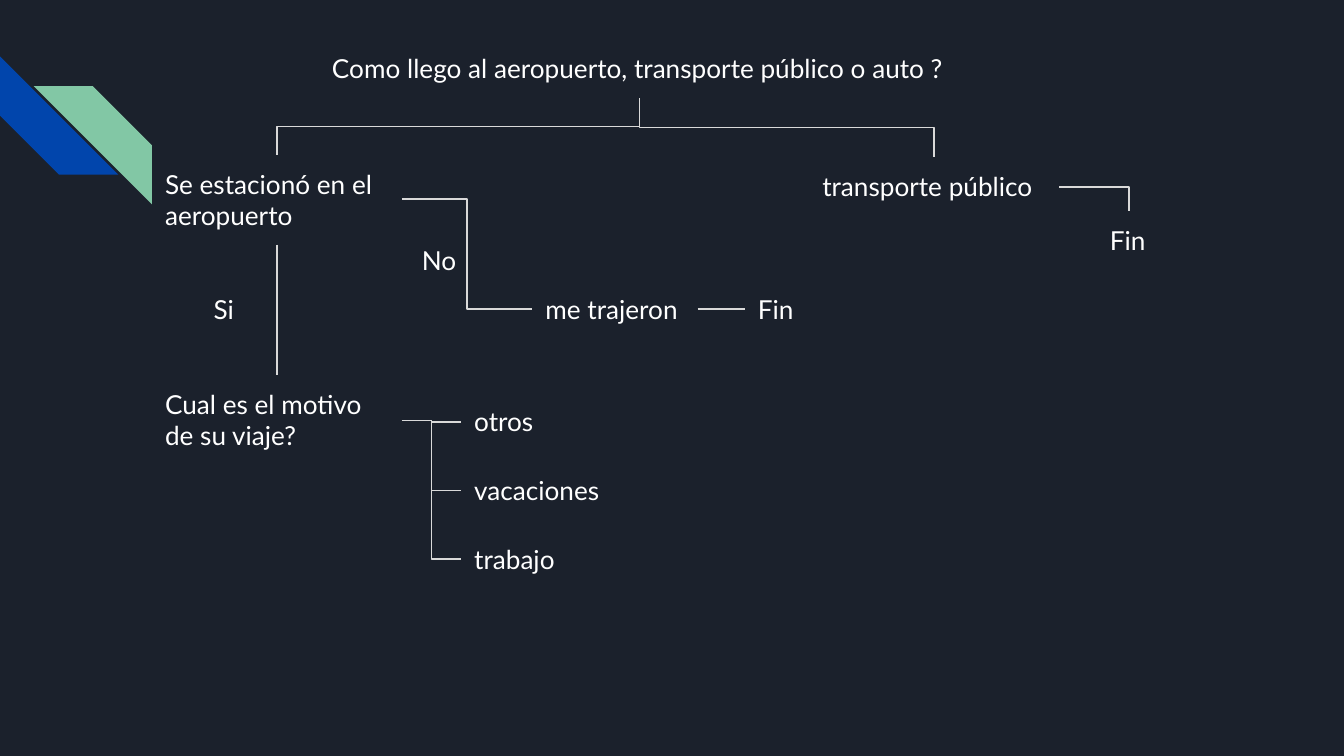
from lxml import etree
from pptx import Presentation
from pptx.dml.color import RGBColor
from pptx.enum.shapes import MSO_CONNECTOR, MSO_SHAPE
from pptx.enum.text import MSO_ANCHOR, MSO_AUTO_SIZE, PP_ALIGN
from pptx.oxml.ns import qn
from pptx.util import Inches, Pt

ELBOW = MSO_CONNECTOR.ELBOW
STRAIGHT = MSO_CONNECTOR.STRAIGHT
STRIPE = MSO_SHAPE.DIAGONAL_STRIPE
TOP = MSO_ANCHOR.TOP
FIXED = MSO_AUTO_SIZE.NONE
LEFT = PP_ALIGN.LEFT


def color(code):
    return RGBColor.from_string(code)


def link(kind, x1, y1, x2, y2):
    line = slide.shapes.add_connector(
        kind, Inches(x1), Inches(y1), Inches(x2), Inches(y2))
    line.line.color.rgb = color("D9D9D9")
    line.line.width = Pt(0.75)
    etree.SubElement(line._element.spPr, qn("a:effectLst"))
    return line


deck = Presentation()
deck.slide_width = Inches(10)
deck.slide_height = Inches(10 * 9 / 16)
slide = deck.slides.add_slide(deck.slide_layouts[5])
slide.background.fill.solid()
slide.background.fill.fore_color.rgb = color("1B212C")

for x, y, fill, turn, flip in [
    (0, 0.42, "0145AC", 270, "0"),
    (0.25, 0.64, "82C7A5", 0, "1"),
]:
    band = slide.shapes.add_shape(
        STRIPE, Inches(x), Inches(y), Inches(0.88), Inches(0.88))
    band.shadow.inherit = False
    band.fill.solid()
    band.fill.fore_color.rgb = color(fill)
    band.line.fill.background()
    band.rotation = turn
    band._element.spPr.find(qn("a:xfrm")).set("flipH", flip)

title = slide.shapes.title
labels = [
    ("Como llego al aeropuerto, transporte público o auto ?", 2.37, 0.29, 4.77, 0.44),
    ("transporte público", 6.02, 1.17, 1.86, 0.44),
    ("Fin", 8.16, 1.57, 0.49, 0.44),
    ("Se estacionó en el aeropuerto", 1.13, 1.15, 1.86, 0.67),
    ("Cual es el motivo de su viaje?", 1.13, 2.79, 1.86, 0.67),
    ("Si", 1.49, 2.08, 0.49, 0.44),
    ("No", 3.04, 1.72, 0.49, 0.44),
    ("me trajeron", 3.96, 2.08, 1.23, 0.44),
    ("Fin", 5.54, 2.08, 0.49, 0.44),
]
trips = [("otros", 1.86), ("vacaciones", 1.33), ("trabajo", 0.97)]
for row, (trip, wide) in enumerate(trips):
    y = 2.92 + 0.51 * row
    labels.append((trip, 3.43, y, wide, 0.44))
    link(ELBOW, 2.99, 3.13, 3.43, y + 0.22)

for text, *place in labels:
    x, y, w, h = [Inches(n) for n in place]
    if text == labels[0][0]:
        box = title
        box.left, box.top, box.width, box.height = x, y, w, h
    else:
        box = slide.shapes.add_textbox(x, y, w, h)
    frame = box.text_frame
    frame.word_wrap = True
    frame.auto_size = FIXED
    frame.vertical_anchor = TOP
    frame.margin_left = frame.margin_right = Inches(0.1)
    frame.margin_top = frame.margin_bottom = Inches(0.1)
    para = frame.paragraphs[0]
    para.alignment = LEFT
    run = para.add_run()
    run.text = text
    run.font.name = "Lato"
    run.font.size = Pt(14)
    run.font.color.rgb = color("FFFFFF")

link(STRAIGHT, 2.06, 1.82, 2.06, 2.79)
link(STRAIGHT, 5.19, 2.3, 5.54, 2.3)
link(ELBOW, 2.99, 1.48, 3.96, 2.3)
bend = link(ELBOW, 7.88, 1.39, 8.4, 1.57)
bend._element.spPr.find(qn("a:prstGeom")).set("prst", "bentConnector2")

root_x, root_y = 4.76, 0.73
for x, y, turn, flip in [(2.06, 1.15, 90, "0"), (6.95, 1.17, 270, "1")]:
    mid_x, mid_y = (root_x + x) / 2, (root_y + y) / 2
    half_w, half_h = (y - root_y) / 2, abs(x - root_x) / 2
    fork = link(ELBOW, mid_x - half_w, mid_y - half_h, mid_x + half_w, mid_y + half_h)
    frame = fork._element.spPr.find(qn("a:xfrm"))
    frame.set("rot", str(turn * 60000))
    frame.set("flipH", flip)

deck.save("out.pptx")
